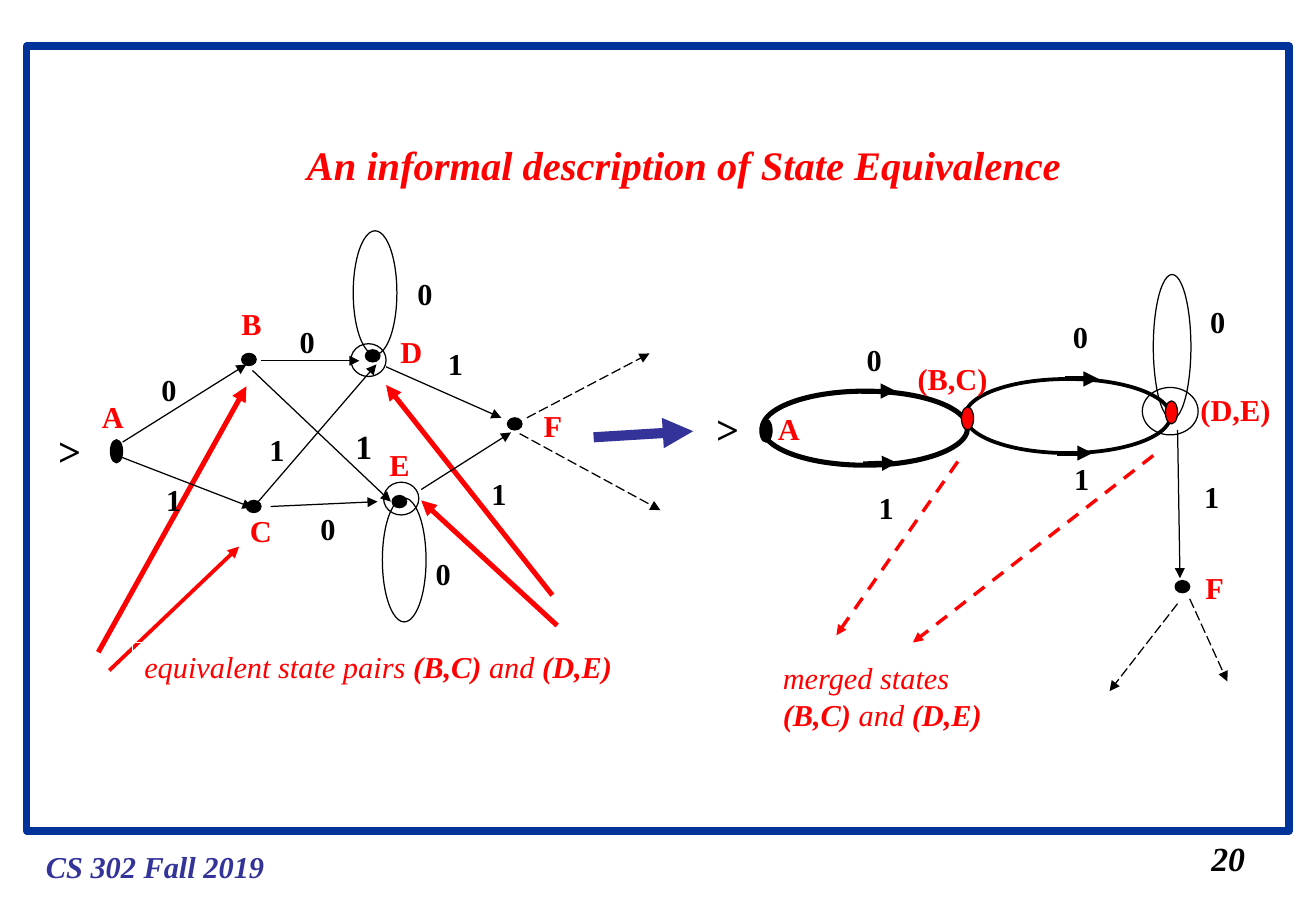
import dataclasses
import lxml.etree
import pptx
import pptx.dml.color
import pptx.enum.dml
import pptx.enum.shapes
import pptx.enum.text
import pptx.oxml.ns
import pptx.util


@dataclasses.dataclass(frozen=True)
class Theme:
    font: str = "Times New Roman"
    frame: str = "003399"
    accent: str = "333399"
    red: str = "FF0000"
    black: str = "000000"
    white: str = "FFFFFF"
    body: int = 18
    large: int = 20
    title: int = 24
    thin: float = 0.75
    cell: float = 0.1


class Canvas:
    def __init__(self, deck, theme):
        self.theme = theme
        self.page = deck.slides.add_slide(deck.slide_layouts[6])

    def grid(self, *cells):
        return [pptx.util.Inches(cell * self.theme.cell) for cell in cells]

    def color(self, value):
        return pptx.dml.color.RGBColor.from_string(value)

    def shape(self, kind, box, line=None, weight=None, fill=None):
        shape = self.page.shapes.add_shape(kind, *self.grid(*box))
        shape.shadow.inherit = False
        if fill:
            shape.fill.solid()
            shape.fill.fore_color.rgb = self.color(fill)
        else:
            shape.fill.background()
        shape.line.color.rgb = self.color(line or self.theme.black)
        shape.line.width = pptx.util.Pt(weight or self.theme.thin)
        return shape

    def rectangle(self, box, line, weight=None):
        return self.shape(pptx.enum.shapes.MSO_SHAPE.RECTANGLE, box, line, weight)

    def oval(self, box, weight=None, fill=None):
        return self.shape(pptx.enum.shapes.MSO_SHAPE.OVAL, box, None, weight, fill)

    def state(self, left, top):
        self.oval((left, top, 1.2, 1), fill=self.theme.black)

    def tall_state(self, left, top, fill):
        self.oval((left, top, 1, 1.9), fill=fill)

    def arrow(self, start, end, color=None, weight=None, dash=None):
        kind = pptx.enum.shapes.MSO_CONNECTOR.STRAIGHT
        line = self.page.shapes.add_connector(kind, *self.grid(*start, *end))
        line.line.color.rgb = self.color(color or self.theme.black)
        line.line.width = pptx.util.Pt(weight or self.theme.thin)
        if dash:
            line.line.dash_style = dash
        properties = line._element.spPr
        outline = properties.find(pptx.oxml.ns.qn("a:ln"))
        lxml.etree.SubElement(outline, pptx.oxml.ns.qn("a:tailEnd"), type="triangle")
        lxml.etree.SubElement(properties, pptx.oxml.ns.qn("a:effectLst"))

    def fill_text(self, shape, paragraphs, color, size, wrap=False):
        frame = shape.text_frame
        frame.word_wrap = wrap
        frame.vertical_anchor = pptx.enum.text.MSO_ANCHOR.TOP
        for index, runs in enumerate(paragraphs):
            para = frame.add_paragraph() if index else frame.paragraphs[0]
            para.alignment = pptx.enum.text.PP_ALIGN.LEFT
            for words, bold, italic in runs:
                span = para.add_run()
                span.text = words
                span.font.name = self.theme.font
                span.font.size = pptx.util.Pt(size)
                span.font.bold = bold
                span.font.italic = italic
                span.font.color.rgb = self.color(color)

    def text(self, box, paragraphs, color, size, wrap=False):
        shape = self.page.shapes.add_textbox(*self.grid(*box))
        self.fill_text(shape, paragraphs, color, size, wrap)

    def label(self, words, left, top, width, color=None, size=None):
        size = size or self.theme.body
        box = (left, top, width, size / 5 + 0.4)
        self.text(box, [[(words, True, False)]], color or self.theme.black, size, True)


def draw_frame(canvas, theme):
    canvas.rectangle((2.2, 3.8, 104, 64.6), theme.frame, 4.5)
    for words, box, color, size in (
        ("CS 302 Fall 2019", (2.8, 69.3, 20, 4), theme.accent, theme.body),
        ("An informal description of State Equivalence",
         (24.3, 11, 64.1, 5), theme.red, theme.title),
        ("20", (98.8, 68.5, 4.8, 4.4), theme.black, theme.large),
    ):
        canvas.text(box, [[(words, True, True)]], color, size)


def draw_equivalent_pairs(canvas, theme):
    for start, end, weight in (
        ((8.1, 53.7), (20.3, 31.8), 3),
        ((9, 55.2), (19.7, 45), 2.25),
        ((45.5, 49), (31.8, 31.7), 3),
        ((45.9, 51.5), (34.7, 41.2), 3),
    ):
        canvas.arrow(start, end, theme.red, weight)
    caption = canvas.rectangle((10.9, 52.9, 41.1, 4), theme.white)
    runs = [("equivalent state pairs ", False, True), ("(B,C)", True, True),
            (" and ", False, True), ("(D,E)", True, True)]
    canvas.fill_text(caption, [runs], theme.red, theme.body)


def draw_first_machine(canvas, theme, dash):
    canvas.tall_state(9.1, 36.2, theme.black)
    for left, top in ((19.9, 29.1), (20.3, 41.2), (30.1, 28.8), (41.8, 34.4), (32.3, 40.8)):
        canvas.state(left, top)
    for left, top in ((31.6, 39.7), (28.9, 28.3)):
        canvas.oval((left, top, 2.9, 2.7))
    for left, top in ((29.1, 19), (31.5, 41)):
        canvas.oval((left, top, 3.6, 10.2))
    for start, end in (
        ((10.1, 36.4), (20.3, 30)), ((9.9, 37.6), (20.8, 41.8)),
        ((20.8, 30.5), (32.2, 41.3)), ((21.1, 41.5), (31, 30)),
        ((21.5, 29.7), (29.6, 29.7)), ((22.3, 41.7), (31.1, 41.3)),
        ((31.8, 30.2), (41.3, 34.4)), ((34.7, 40.3), (42.1, 35.6)),
    ):
        canvas.arrow(start, end)
    canvas.arrow((43.4, 34.4), (53.5, 29.1), dash=dash)
    canvas.arrow((42.8, 35.7), (54.4, 42), dash=dash)
    for digit, left, top in (
        ("0", 12.3, 30.1), ("1", 12.7, 39.1), ("0", 23.7, 26.1), ("0", 25.4, 41.5),
        ("1", 21.2, 35), ("0", 34.9, 45.2), ("0", 33.4, 22.2), ("1", 35.9, 27.9),
        ("1", 39.5, 38.6),
    ):
        canvas.label(digit, left, top, 3.2)
    canvas.label("1", 28.3, 34.6, 3.4, size=theme.large)
    canvas.label(">", 3.8, 34.6, 3.9, size=theme.title)
    for name, left, top, width in (
        ("A", 7.4, 32.3, 4.6), ("B", 18.9, 24.6, 3.6), ("C", 19.6, 41.7, 4.3),
        ("D", 32, 26.9, 3.8), ("E", 31.1, 36.2, 3.6), ("F", 43.8, 33, 3.1),
    ):
        canvas.label(name, left, top, width, theme.red)


def draw_merged_machine(canvas, theme, dash):
    canvas.oval((62.8, 32.2, 16.9, 6.1), 3)
    canvas.oval((79.5, 31.2, 16.9, 6.1), 2.25)
    canvas.oval((95, 22.6, 3.1, 11.9))
    for left, top, fill in ((62.6, 34.5, theme.black), (79.2, 33.5, theme.red),
                            (96, 33, theme.red)):
        canvas.tall_state(left, top, fill)
    canvas.oval((94.1, 31.9, 4.6, 3.9))
    canvas.state(96.8, 47.8)
    for start, end in (
        ((70.9, 32.2), (73.8, 32.2)), ((71.1, 38.2), (73.9, 38.1)),
        ((87.7, 31.2), (90.5, 31.2)), ((87.1, 37.3), (90, 37.3)),
    ):
        canvas.arrow(start, end, weight=3)
    canvas.arrow((97, 35.4), (97.2, 47.6))
    canvas.arrow((97, 49.7), (91.4, 56.9), dash=dash)
    canvas.arrow((98, 49.3), (101.1, 56.1), dash=dash)
    for digit, left, top in (
        ("0", 87.4, 25.7), ("0", 70.4, 27.6), ("1", 71.4, 39.8),
        ("1", 87.5, 37.4), ("0", 98.7, 24.5), ("1", 98.2, 38.9),
    ):
        canvas.label(digit, left, top, 3.3)
    canvas.label(">", 58, 32.8, 3.9, size=theme.title)
    for name, left, top, width in (
        ("A", 63.1, 33.3, 3.8), ("(D,E)", 97.9, 31.7, 7.8),
        ("(B,C)", 74.6, 29.2, 7.8), ("F", 98.3, 46.4, 3.5),
    ):
        canvas.label(name, left, top, width, theme.red)


def draw_merged_states(canvas, theme, dash):
    canvas.arrow((78.9, 38), (68.9, 52.3), theme.red, 2, dash)
    canvas.arrow((95, 37.5), (75.2, 52.9), theme.red, 2, dash)
    lines = [[("merged states", False, True)],
             [("(B,C) ", True, True), ("and ", False, True), ("(D,E)", True, True)]]
    canvas.text((63.5, 53.8, 19, 7), lines, theme.red, theme.body)


def main():
    deck = pptx.Presentation()
    deck.slide_width = pptx.util.Inches(10.84)
    deck.slide_height = pptx.util.Inches(7.5)
    theme = Theme()
    canvas = Canvas(deck, theme)
    dashes = pptx.enum.dml.MSO_LINE
    draw_frame(canvas, theme)
    canvas.arrow((48.9, 36), (57.1, 35.5), theme.accent, 6, dashes.LONG_DASH)
    draw_equivalent_pairs(canvas, theme)
    draw_first_machine(canvas, theme, dashes.LONG_DASH)
    draw_merged_machine(canvas, theme, dashes.LONG_DASH)
    draw_merged_states(canvas, theme, dashes.DASH)
    deck.save("out.pptx")


if __name__ == "__main__":
    main()
